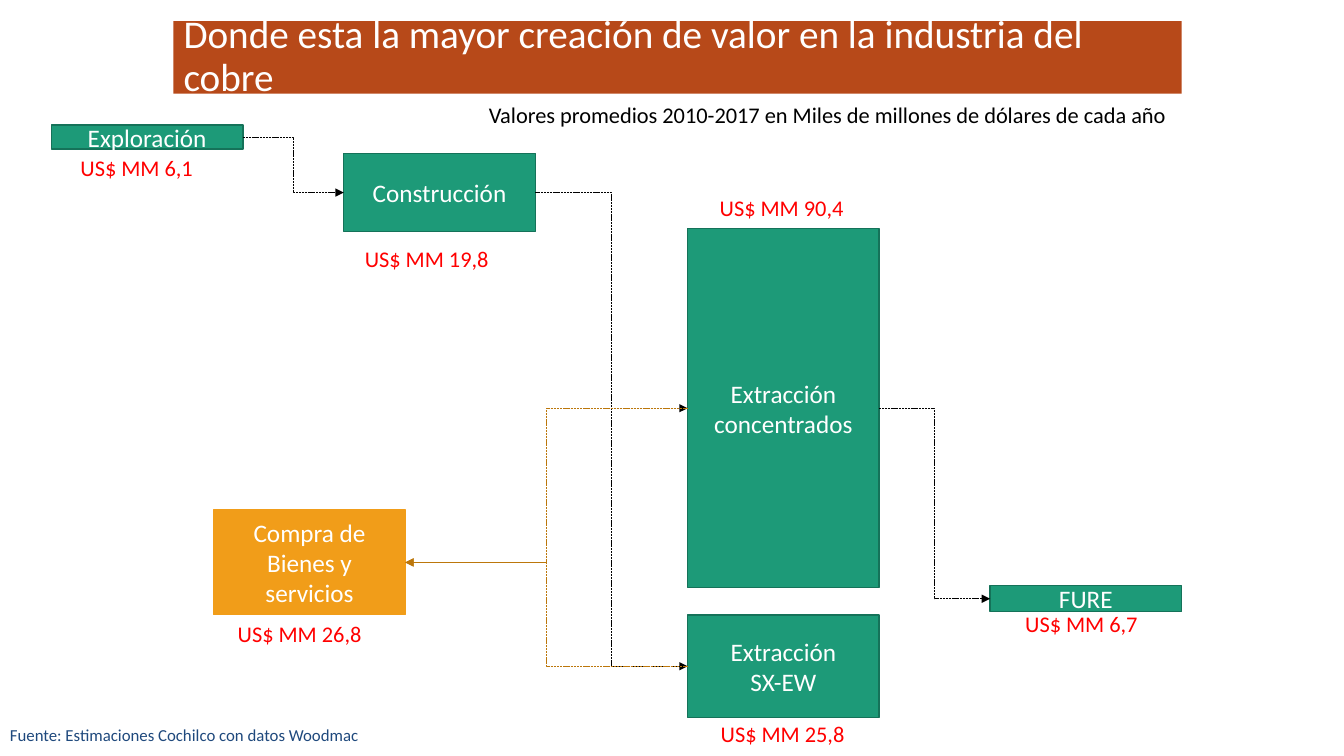
from lxml import etree
from pptx import Presentation
from pptx.dml.color import RGBColor
from pptx.enum.dml import MSO_LINE
from pptx.enum.shapes import MSO_CONNECTOR, MSO_SHAPE
from pptx.enum.text import MSO_ANCHOR, MSO_AUTO_SIZE, PP_ALIGN
from pptx.oxml.ns import qn
from pptx.util import Inches, Pt

RECT = MSO_SHAPE.RECTANGLE
ELBOW = MSO_CONNECTOR.ELBOW
DASH = MSO_LINE.SQUARE_DOT
MIDDLE = MSO_ANCHOR.MIDDLE
TOP = MSO_ANCHOR.TOP
LEFT, CENTER = PP_ALIGN.LEFT, PP_ALIGN.CENTER
FIXED, GROW = MSO_AUTO_SIZE.NONE, MSO_AUTO_SIZE.SHAPE_TO_FIT_TEXT

FONT = "Calibri"
WHITE, BLACK, RED, NAVY = "FFFFFF", "000000", "FF0000", "1F497D"
RUST, GREEN, PINE = "B74919", "1D9A78", "157259"
ORANGE, BROWN = "F19D19", "BC770B"
STAGE_W = 1.9
LEFT_SITE, RIGHT_SITE = 1, 3


def color(code):
    return RGBColor.from_string(code)


def write(shape, text, size=18, tint=WHITE, align=CENTER, anchor=MIDDLE,
          wrap=True, fit=FIXED, spacing=None):
    """Fill a shape with text, one paragraph per line."""
    frame = shape.text_frame
    frame.text = text
    frame.word_wrap = wrap
    frame.auto_size = fit
    frame.vertical_anchor = anchor
    for para in frame.paragraphs:
        para.alignment = align
        if spacing:
            para.line_spacing = spacing
        para.font.name = FONT
        para.font.size = Pt(size)
        para.font.color.rgb = color(tint)


def add_title(slide, text):
    title = slide.shapes.title
    title.left, title.top = Inches(1.72), Inches(0.21)
    title.width, title.height = Inches(10), Inches(0.72)
    title.fill.solid()
    title.fill.fore_color.rgb = color(RUST)
    write(title, text, size=28, align=LEFT, spacing=0.9)


def add_stage(slide, text, left, top, height, fill=GREEN, edge=PINE):
    box = slide.shapes.add_shape(RECT, Inches(left), Inches(top),
                                 Inches(STAGE_W), Inches(height))
    box.shadow.inherit = False
    box.fill.solid()
    box.fill.fore_color.rgb = color(fill)
    box.line.color.rgb = color(edge)
    box.line.width = Pt(1)
    write(box, text)
    return box


def add_label(slide, text, left, top, width, height=0.37, size=16, tint=RED):
    box = slide.shapes.add_textbox(Inches(left), Inches(top),
                                   Inches(width), Inches(height))
    write(box, text, size=size, tint=tint, align=LEFT, anchor=TOP,
          wrap=False, fit=GROW)


def add_arrow(slide, start, end, tint=BLACK):
    """Draw a dashed elbow arrow between two points given in EMU."""
    arrow = slide.shapes.add_connector(ELBOW, *start, *end)
    arrow.line.color.rgb = color(tint)
    arrow.line.width = Pt(0.5)
    arrow.line.dash_style = DASH
    etree.SubElement(arrow.line._get_or_add_ln(), qn("a:tailEnd"),
                     type="triangle")
    etree.SubElement(arrow._element.spPr, qn("a:effectLst"))
    return arrow


def link(slide, source, target, tint=BLACK):
    """Join the facing sides of two stages."""
    arrow = add_arrow(slide, (0, 0), (0, 0), tint)
    ahead = source.left < target.left
    arrow.begin_connect(source, RIGHT_SITE if ahead else LEFT_SITE)
    arrow.end_connect(target, LEFT_SITE if ahead else RIGHT_SITE)


def branch(slide, source, first, second):
    """Carry the arrow from source to first on down to second."""
    x = (source.left + source.width + first.left) // 2
    start = x, first.top + first.height // 2
    end = second.left, second.top + second.height // 2
    arrow = add_arrow(slide, start, end)
    arrow.end_connect(second, LEFT_SITE)
    bends = arrow._element.spPr.find(qn("a:prstGeom")).get_or_add_avLst()
    etree.SubElement(bends, qn("a:gd"), name="adj1", fmla="val 0")


def main():
    deck = Presentation()
    deck.slide_width, deck.slide_height = Inches(13.33), Inches(7.5)
    slide = deck.slides.add_slide(deck.slide_layouts[5])

    add_title(slide, "Donde esta la mayor creación de valor en la industria "
                     "del cobre")
    add_label(slide, "Fuente: Estimaciones Cochilco con datos Woodmac",
              0, 7.14, 3.71, height=0.3, size=12, tint=NAVY)

    explore = add_stage(slide, "Exploración", 0.51, 1.24, 0.24)
    build = add_stage(slide, "Construcción", 3.41, 1.52, 0.78)
    mine = add_stage(slide, "Extracción concentrados", 6.82, 2.27, 3.56)
    leach = add_stage(slide, "Extracción\nSX-EW", 6.82, 6.1, 1.02)
    smelt = add_stage(slide, "FURE", 9.82, 5.81, 0.26)
    supply = add_stage(slide, "Compra de Bienes y servicios", 2.12, 5.06,
                       1.04, fill=ORANGE, edge=ORANGE)

    add_label(slide, "Valores promedios 2010-2017 en Miles de millones de "
                     "dólares de cada año", 4.75, 0.95, 7, tint=BLACK)

    link(slide, explore, build)
    link(slide, build, mine)
    branch(slide, build, mine, leach)
    link(slide, mine, smelt)
    for plant in (mine, leach):
        link(slide, plant, supply, BROWN)

    for value, left, top, width in (
        ("6,1", 0.7, 1.48, 1.33),
        ("19,8", 3.52, 2.38, 1.44),
        ("26,8", 2.26, 6.1, 1.44),
        ("90,4", 7.04, 1.88, 1.44),
        ("25,8", 7.05, 7.1, 1.44),
        ("6,7", 10.07, 6, 1.33),
    ):
        add_label(slide, f"US$ MM {value}", left, top, width)

    deck.save("out.pptx")


if __name__ == "__main__":
    main()
